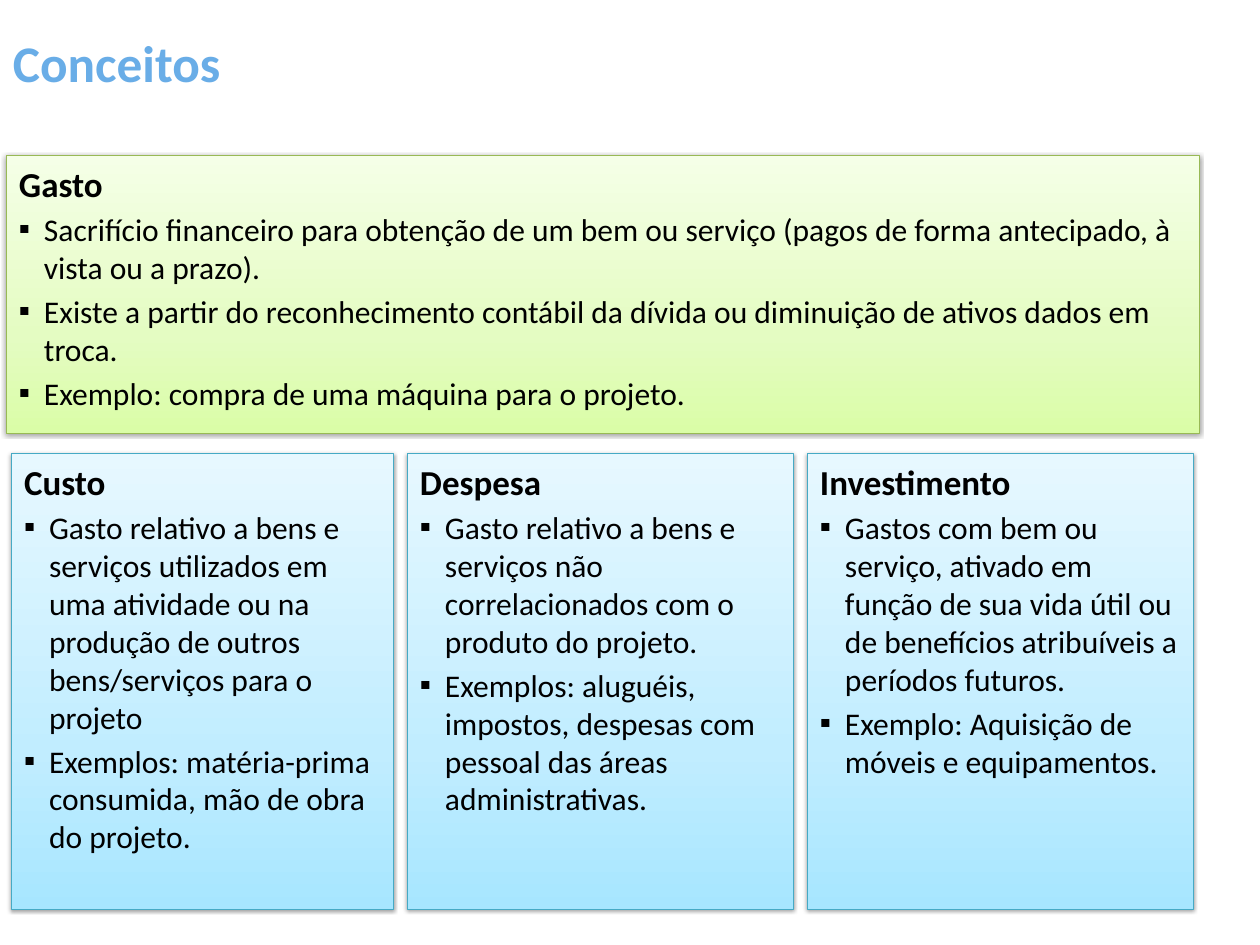
from copy import deepcopy

from lxml import etree
from pptx import Presentation
from pptx.dml.color import RGBColor
from pptx.enum.shapes import MSO_SHAPE
from pptx.enum.text import MSO_ANCHOR, MSO_AUTO_SIZE, PP_ALIGN
from pptx.oxml.ns import qn
from pptx.util import Emu, Pt

RECTANGLE = MSO_SHAPE.RECTANGLE
TOP, MIDDLE = MSO_ANCHOR.TOP, MSO_ANCHOR.MIDDLE
NO_AUTOFIT = MSO_AUTO_SIZE.NONE
LEFT = PP_ALIGN.LEFT

EMU_PER_PX = 914400 / 84
FONT = "Calibri"
COLORS = {
    "title": "69ADE7",
    "text": "000000",
    "shadow": "000000",
    "green_line": "98B955",
    "blue_line": "46AAC5",
}
GRADIENTS = {
    "green": {0: "DAFDA7", 0.35: "E4FCC2", 1: "F5FFE7"},
    "blue": {0: "A7E6FF", 0.35: "C1EDFF", 1: "E7F8FF"},
}
EXPENDITURE = ("Gasto", [
    "Sacrifício financeiro para obtenção de um bem ou serviço (pagos de forma antecipado, à vista ou a prazo).",
    "Existe a partir do reconhecimento contábil da dívida ou diminuição de ativos dados em troca.",
    "Exemplo: compra de uma máquina para o projeto.",
])
CATEGORIES = [
    (11, 382, "Custo", [
        "Gasto relativo a bens e serviços utilizados em uma atividade ou na produção de outros bens/serviços para o projeto",
        "Exemplos: matéria-prima consumida, mão de obra do projeto.",
    ]),
    (407, 386, "Despesa", [
        "Gasto relativo a bens e serviços não correlacionados com o produto do projeto.",
        "Exemplos: aluguéis, impostos, despesas com pessoal das áreas administrativas.",
    ]),
    (807, 386, "Investimento", [
        "Gastos com bem ou serviço, ativado em função de sua vida útil ou de benefícios atribuíveis a períodos futuros.",
        "Exemplo: Aquisição de móveis e equipamentos.",
    ]),
]


def px(value):
    return Emu(round(value * EMU_PER_PX))


def place(shape, left, top, width, height):
    shape.left, shape.top = px(left), px(top)
    shape.width, shape.height = px(width), px(height)


def prepare_frame(shape, anchor, side, edge):
    frame = shape.text_frame
    frame.word_wrap = True
    frame.auto_size = NO_AUTOFIT
    frame.vertical_anchor = anchor
    frame.margin_left = frame.margin_right = px(side)
    frame.margin_top = frame.margin_bottom = px(edge)
    return frame


def set_bullet(paragraph, char, indent):
    properties = paragraph._p.get_or_add_pPr()
    properties.set("marL", str(px(indent)))
    properties.set("indent", str(-px(indent)))
    if char:
        etree.SubElement(properties, qn("a:buFont"), typeface=FONT)
        etree.SubElement(properties, qn("a:buChar"), char=char)
    else:
        etree.SubElement(properties, qn("a:buNone"))


def write(paragraph, text, size, color="text", bold=False, bullet=None, indent=0, before=0):
    set_bullet(paragraph, bullet, indent)
    paragraph.alignment = LEFT
    paragraph.space_before = Pt(before)
    run = paragraph.add_run()
    run.text = text
    run.font.name = FONT
    run.font.size = Pt(size)
    run.font.bold = bold
    run.font.color.rgb = RGBColor.from_string(COLORS[color])


def paint_gradient(shape, stops):
    shape.fill.gradient()
    shape.fill.gradient_angle = 90
    stop_list = shape._element.spPr.find(".//" + qn("a:gsLst"))
    stop_list.append(deepcopy(stop_list[-1]))
    for stop, (position, color) in zip(shape.fill.gradient_stops, stops.items()):
        stop.position = position
        stop.color.rgb = RGBColor.from_string(color)


def cast_shadow(shape):
    shape.shadow.inherit = False
    effects = shape._element.spPr.find(qn("a:effectLst"))
    shadow = etree.SubElement(effects, qn("a:outerShdw"), blurRad="40000", dist="20000",
                              dir="5400000", rotWithShape="0")
    color = etree.SubElement(shadow, qn("a:srgbClr"), val=COLORS["shadow"])
    etree.SubElement(color, qn("a:alpha"), val="38000")


def fill_card(card, bounds, hue, heading, items):
    place(card, *bounds)
    paint_gradient(card, GRADIENTS[hue])
    card.line.color.rgb = RGBColor.from_string(COLORS[hue + "_line"])
    card.line.width = Pt(0.75)
    cast_shadow(card)
    frame = prepare_frame(card, TOP, side=13, edge=7)
    write(frame.paragraphs[0], heading, size=30, bold=True)
    for item in items:
        write(frame.add_paragraph(), item, size=27, bullet="▪", indent=25, before=5.4)


def main():
    presentation = Presentation()
    presentation.slide_width, presentation.slide_height = px(1260), px(945)
    slide = presentation.slides.add_slide(presentation.slide_layouts[1])

    title = slide.shapes.title
    place(title, 5, 32, 598, 60)
    frame = prepare_frame(title, MIDDLE, side=8, edge=4)
    write(frame.paragraphs[0], "Conceitos", size=44, color="title", bold=True)

    fill_card(slide.placeholders[1], (6, 155, 1193, 278), "green", *EXPENDITURE)
    for left, width, heading, items in CATEGORIES:
        bounds = (left, 453, width, 456)
        card = slide.shapes.add_shape(RECTANGLE, *map(px, bounds))
        fill_card(card, bounds, "blue", heading, items)

    presentation.save("out.pptx")


if __name__ == "__main__":
    main()
